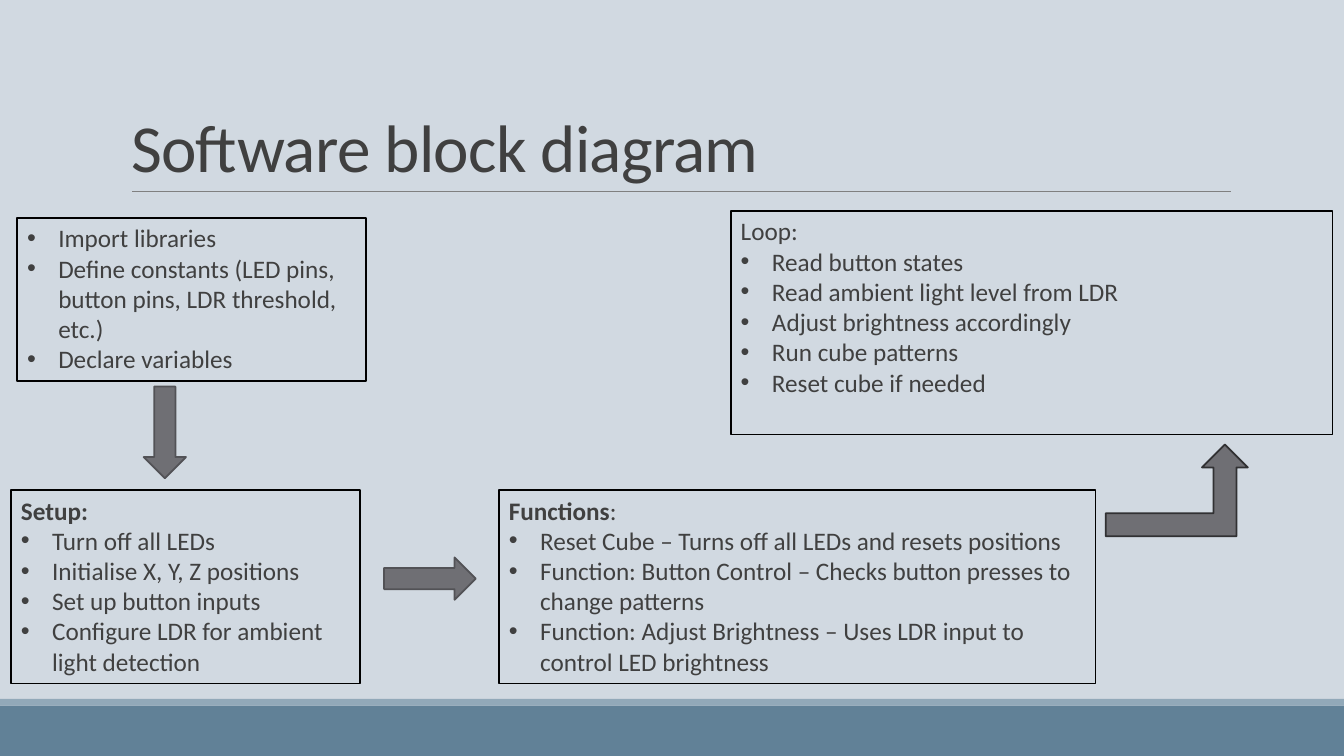
from dataclasses import dataclass

from lxml.etree import SubElement
from pptx import Presentation
from pptx.dml.color import RGBColor
from pptx.enum.shapes import MSO_CONNECTOR, MSO_SHAPE
from pptx.enum.text import MSO_ANCHOR, MSO_AUTO_SIZE, PP_ALIGN
from pptx.oxml.ns import qn
from pptx.util import Inches, Pt

COLORS = {
    "background": "D1D9E1", "footer": "618197", "stripe": "92A9B9",
    "rule": "808080", "text": "404040", "border": "000000",
    "arrow": "6F6F74", "arrow_edge": "525256", "bent_edge": "313133",
}
COLS, ROWS = 160, 90
BODY = {"name": "Calibri", "size": Pt(18)}
TITLE = {"name": "Calibri", "size": Pt(48)}

prs = Presentation()
prs.slide_width, prs.slide_height = Inches(13.333), Inches(7.5)


@dataclass
class Area:
    """A place on the slide in grid columns and rows."""
    col: float
    row: float
    cols: float
    rows: float

    def emu(self) -> tuple[int, int, int, int]:
        return x(self.col), y(self.row), x(self.cols), y(self.rows)


@dataclass
class Block:
    area: Area
    items: list[str]
    heading: str = ""
    bold: bool = False
    colon: str = ""


@dataclass
class Arrow:
    area: Area
    kind: MSO_SHAPE = MSO_SHAPE.RIGHT_ARROW
    edge: str = "arrow_edge"
    rotation: int = 0


BARS = [(Area(0, 84, COLS, 6), "footer"), (Area(0, 83.2, COLS, 0.8), "stripe")]
BLOCKS = [
    Block(Area(2.04, 25.92, 41.52, 19.44), [
        "Import libraries",
        "Define constants (LED pins, button pins, LDR threshold, etc.)",
        "Declare variables"]),
    Block(Area(87, 25.08, 71.64, 26.64), [
        "Read button states",
        "Read ambient light level from LDR",
        "Adjust brightness accordingly",
        "Run cube patterns",
        "Reset cube if needed"], "Loop:"),
    Block(Area(59.4, 58.32, 71.04, 23.04), [
        "Reset Cube – Turns off all LEDs and resets positions",
        "Function: Button Control – Checks button presses to change patterns",
        "Function: Adjust Brightness – Uses LDR input to control LED brightness"],
        "Functions", True, ":"),
    Block(Area(1.32, 58.32, 41.52, 23.04), [
        "Turn off all LEDs",
        "Initialise X, Y, Z positions",
        "Set up button inputs",
        "Configure LDR for ambient light detection"], "Setup:", True),
]
ARROWS = [
    Arrow(Area(14.16, 48.96, 10.92, 5.04), rotation=90),
    Arrow(Area(45.72, 66.36, 10.92, 5.04)),
    Arrow(Area(131.64, 52.92, 16.92, 10.92), MSO_SHAPE.BENT_UP_ARROW, "bent_edge"),
]


def x(cols: float) -> int:
    return round(prs.slide_width * cols / COLS)


def y(rows: float) -> int:
    return round(prs.slide_height * rows / ROWS)


def rgb(name: str) -> RGBColor:
    return RGBColor.from_string(COLORS[name])


def add_run(p, text: str, style: dict, bold: bool = False):
    r = p.add_run()
    r.text = text
    for key, value in {**style, "bold": bold}.items():
        setattr(r.font, key, value)
    r.font.color.rgb = rgb("text")
    return r


def add_shape(s, kind: MSO_SHAPE, area: Area, fill: str = "", edge: str = ""):
    sp = s.shapes.add_shape(kind, *area.emu())
    sp.shadow.inherit = False
    if fill:
        sp.fill.solid()
        sp.fill.fore_color.rgb = rgb(fill)
    else:
        sp.fill.background()
    if edge:
        sp.line.color.rgb = rgb(edge)
        sp.line.width = Pt(1.25)
    else:
        sp.line.fill.background()
    return sp


def add_bullet(p) -> None:
    pPr = p._p.get_or_add_pPr()
    pPr.set("marL", str(Inches(0.31)))
    pPr.set("indent", str(-Inches(0.31)))
    SubElement(pPr, qn("a:buFont"), typeface="Arial")
    SubElement(pPr, qn("a:buChar"), char="•")


def add_block(s, block: Block) -> None:
    tf = add_shape(s, MSO_SHAPE.RECTANGLE, block.area, edge="border").text_frame
    tf.word_wrap = True
    tf.vertical_anchor = MSO_ANCHOR.TOP
    lines = ([block.heading] if block.heading else []) + block.items
    for i, line in enumerate(lines):
        p = tf.add_paragraph() if i else tf.paragraphs[0]
        p.alignment = PP_ALIGN.LEFT
        if line == block.heading:
            add_run(p, line, BODY, block.bold)
            if block.colon:
                add_run(p, block.colon, BODY)
        else:
            add_bullet(p)
            add_run(p, line, BODY)


def add_title(s, text: str, area: Area) -> None:
    sp = s.shapes.title
    sp.left, sp.top, sp.width, sp.height = area.emu()
    tf = sp.text_frame
    tf.word_wrap = True
    tf.auto_size = MSO_AUTO_SIZE.NONE
    tf.vertical_anchor = MSO_ANCHOR.BOTTOM
    p = tf.paragraphs[0]
    p.alignment = PP_ALIGN.LEFT
    p.line_spacing = 0.85
    r = add_run(p, text, TITLE)
    r.font._element.set("spc", "-50")


def main() -> None:
    s = prs.slides.add_slide(prs.slide_layouts[5])
    s.background.fill.solid()
    s.background.fill.fore_color.rgb = rgb("background")

    # Footer bars and title rule
    for area, fill in BARS:
        add_shape(s, MSO_SHAPE.RECTANGLE, area, fill)
    rule = s.shapes.add_connector(
        MSO_CONNECTOR.STRAIGHT, x(15.72), y(22.8), x(146.52), y(22.8))
    rule.line.color.rgb = rgb("rule")
    rule.line.width = Pt(0.5)
    SubElement(rule._element.spPr, qn("a:effectLst"))

    # Title
    add_title(s, "Software block diagram", Area(14.4, 3.72, 132, 19.08))

    # Program stages and the flow between them
    for block in BLOCKS:
        add_block(s, block)
    for arrow in ARROWS:
        sp = add_shape(s, arrow.kind, arrow.area, "arrow", arrow.edge)
        sp.rotation = arrow.rotation

    prs.save("out.pptx")


if __name__ == "__main__":
    main()
